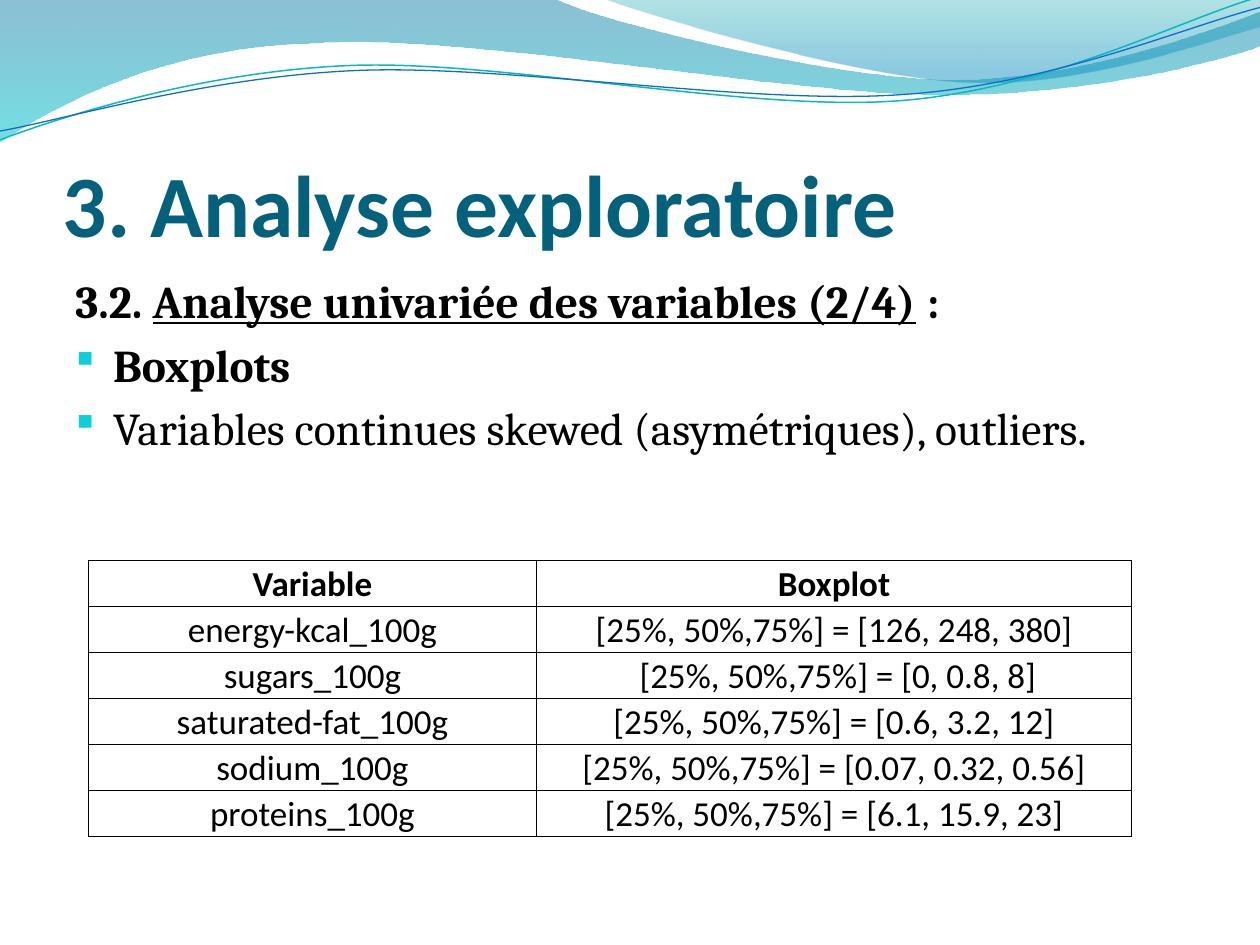
from math import cos, radians, sin

from lxml import etree
from pptx import Presentation
from pptx.dml.color import RGBColor
from pptx.enum.text import MSO_ANCHOR, PP_ALIGN
from pptx.oxml.ns import qn
from pptx.util import Inches, Pt

MIDDLE, BOTTOM, TOP = MSO_ANCHOR.MIDDLE, MSO_ANCHOR.BOTTOM, MSO_ANCHOR.TOP
CENTER = PP_ALIGN.CENTER
HEX = {
    "black": "000000", "title": "04617B", "bullet": "0BD0D9",
    "teal": "0AB8BF", "blue": "0F6FC6",
    "deep": "0074A1", "aqua": "00C6CF", "sea": "00A1A9", "sky": "008BBF",
}


def rgb(name):
    return RGBColor.from_string(HEX[name])


def add(parent, tag, **attrs):
    return etree.SubElement(parent, qn(tag), attrs)


def turn(part, mid, angle):
    """Turn every point of a path part about a middle point."""
    c, s = cos(radians(angle)), sin(radians(angle))
    out = []
    for x, y in zip(part[::2], part[1::2]):
        x, y = x - mid[0], y - mid[1]
        out += [mid[0] + x * c - y * s, mid[1] + x * s + y * c]
    return out


class Deck:
    heading = "Calibri"
    serif = "Cambria"
    tilt = 2.7

    def __init__(self):
        self.prs = Presentation()
        self.prs.slide_width, self.prs.slide_height = Inches(10), Inches(7.5)
        self.slide = self.prs.slides.add_slide(self.prs.slide_layouts[6])
        self.shapes = self.slide.shapes

    def outline(self, path, close):
        """Draw a path whose parts are points (2 numbers) or curves (6 numbers)."""
        points = [(Inches(x), Inches(y))
                  for part in path for x, y in zip(part[::2], part[1::2])]
        build = self.shapes.build_freeform(*points[0])
        build.add_line_segments(points[1:], close=close)
        shape = build.convert_to_shape()
        shape.shadow.inherit = False
        lines = iter(list(shape._element.spPr.iter(qn("a:lnTo"))))
        for part in path[1:]:
            first = next(lines)
            if len(part) == 6:
                curve = etree.Element(qn("a:cubicBezTo"))
                first.addprevious(curve)
                for line in (first, next(lines), next(lines)):
                    curve.append(line[0])
                    line.getparent().remove(line)
        return shape

    def wave(self, path, stops):
        shape = self.outline(path, True)
        shape.line.fill.background()
        shape.fill.gradient()
        shape.fill.gradient_angle = 270
        for stop, (place, color, _) in zip(shape.fill.gradient_stops, stops):
            stop.position = place
            stop.color.rgb = rgb(color)
        tones = shape._element.spPr.iter(qn("a:srgbClr"))
        for tone, (_, _, alpha) in zip(tones, stops):
            add(tone, "a:alpha", val=str(alpha * 1000))

    def strand(self, path, mid, color, width):
        shape = self.outline([turn(part, mid, self.tilt) for part in path], False)
        shape.rotation = 360 - self.tilt
        shape.fill.background()
        shape.line.color.rgb = rgb(color)
        shape.line.width = Pt(width)

    def style(self, run, font, size, color="black", bold=False, under=False):
        run.font.name, run.font.size = font, Pt(size)
        run.font.color.rgb = rgb(color)
        run.font.bold, run.font.underline = bold, under

    def box(self, left, top, width, height, anchor, inset):
        box = self.shapes.add_textbox(*map(Inches, (left, top, width, height)))
        frame = box.text_frame
        frame.word_wrap, frame.vertical_anchor = True, anchor
        frame.margin_left = frame.margin_right = Inches(inset)
        return frame

    def title(self, text):
        frame = self.box(0.5, 0.77, 9, 1.25, BOTTOM, 0)
        frame.margin_bottom = 0
        frame.text = text
        self.style(frame.paragraphs[0].runs[0], self.heading, 50, "title", True)

    def body(self, lines):
        frame = self.box(0.5, 2.12, 9, 4.8, TOP, 0.1)
        for i, (bullet, parts) in enumerate(lines):
            para = frame.add_paragraph() if i else frame.paragraphs[0]
            para.space_before = Pt(5)
            props = para._p.get_or_add_pPr()
            props.set("marL", str(Inches(0.3)))
            props.set("indent", str(Inches(-0.3)))
            if bullet:
                add(add(props, "a:buClr"), "a:srgbClr", val=HEX["bullet"])
                add(props, "a:buSzPct", val="95000")
                add(props, "a:buFont", typeface="Wingdings", charset="2")
                add(props, "a:buChar", char="§")
            else:
                add(props, "a:buNone")
            for text, bold, under in parts:
                run = para.add_run()
                run.text = text
                self.style(run, self.serif, 26, bold=bold, under=under)

    def border(self, cell):
        props = cell._tc.get_or_add_tcPr()
        for i, side in enumerate(("a:lnL", "a:lnR", "a:lnT", "a:lnB")):
            line = etree.Element(qn(side), w=str(Pt(0.5)))
            add(add(line, "a:solidFill"), "a:srgbClr", val=HEX["black"])
            props.insert(i, line)

    def table(self, left, top, widths, height, rows):
        frame = self.shapes.add_table(
            len(rows), len(widths), Inches(left), Inches(top),
            Inches(sum(widths)), Inches(height))
        table = frame.table
        table.horz_banding = False
        for col, width in zip(table.columns, widths):
            col.width = Inches(width)
        for r, row in enumerate(rows):
            table.rows[r].height = Inches(height / len(rows))
            for c, text in enumerate(row):
                cell = table.cell(r, c)
                cell.fill.background()
                cell.vertical_anchor = MIDDLE
                cell.margin_left = cell.margin_right = cell.margin_top = Inches(0.01)
                cell.margin_bottom = 0
                cell.text = text
                para = cell.text_frame.paragraphs[0]
                para.alignment = CENTER
                self.style(para.runs[0], self.heading, 20, bold=r == 0)
                self.border(cell)


deck = Deck()

# Waves along the top
deck.wave([
    (0, 0), (4.4, -0.01), (4.76, 0.17, 6.64, 0.63, 7.58, 0.63),
    (8.53, 0.63, 9.58, 0.26, 10, 0.09), (10.01, 0.36),
    (9.83, 0.44, 8.7, 0.76, 7.46, 0.75), (6.22, 0.75, 3.82, 0.28, 2.57, 0.34),
    (1.29, 0.36, 0.46, 0.83, -0.01, 1.13), (0, 0),
], [(0, "deep", 45), (1, "aqua", 55)])
deck.wave([
    (4.79, -0.01), (5.09, 0.11, 6.82, 0.62, 7.69, 0.65),
    (8.56, 0.69, 9.61, 0.32, 10, 0.21), (10, 0), (4.79, -0.01),
], [(0, "sea", 30), (0.8, "sky", 45)])
deck.strand([
    (0, 1.11), (0.48, 0.93, 1.58, 0.57, 2.77, 0.52),
    (3.95, 0.47, 5.93, 0.89, 7.13, 0.8), (8.33, 0.71, 9.38, 0.15, 9.98, -0.02),
], (4.99, 0.57), "teal", 0.85)
deck.strand([
    (0, 1.04), (0.47, 0.96, 1.64, 0.61, 2.83, 0.56),
    (4.03, 0.51, 5.97, 0.84, 7.17, 0.75), (8.36, 0.67, 9.41, 0.21, 10, 0.06),
], (5, 0.59), "blue", 0.75)

# Title and body
deck.title("3. Analyse exploratoire")
deck.body([
    (False, [("3.2. ", True, False),
             ("Analyse univariée des variables (2/4)", True, True),
             (" :", True, False)]),
    (True, [("Boxplots", True, False)]),
    (True, [("Variables continues skewed (asymétriques), outliers.", False, False)]),
])

# Quartiles of each variable
deck.table(0.7, 4.45, (3.56, 4.72), 2.19, [
    ("Variable", "Boxplot"),
    ("energy-kcal_100g", "[25%, 50%,75%] = [126, 248, 380]"),
    ("sugars_100g", " [25%, 50%,75%] = [0, 0.8, 8]"),
    ("saturated-fat_100g", "[25%, 50%,75%] = [0.6, 3.2, 12]"),
    ("sodium_100g", "[25%, 50%,75%] = [0.07, 0.32, 0.56]"),
    ("proteins_100g", "[25%, 50%,75%] = [6.1, 15.9, 23]"),
])

deck.prs.save("out.pptx")
